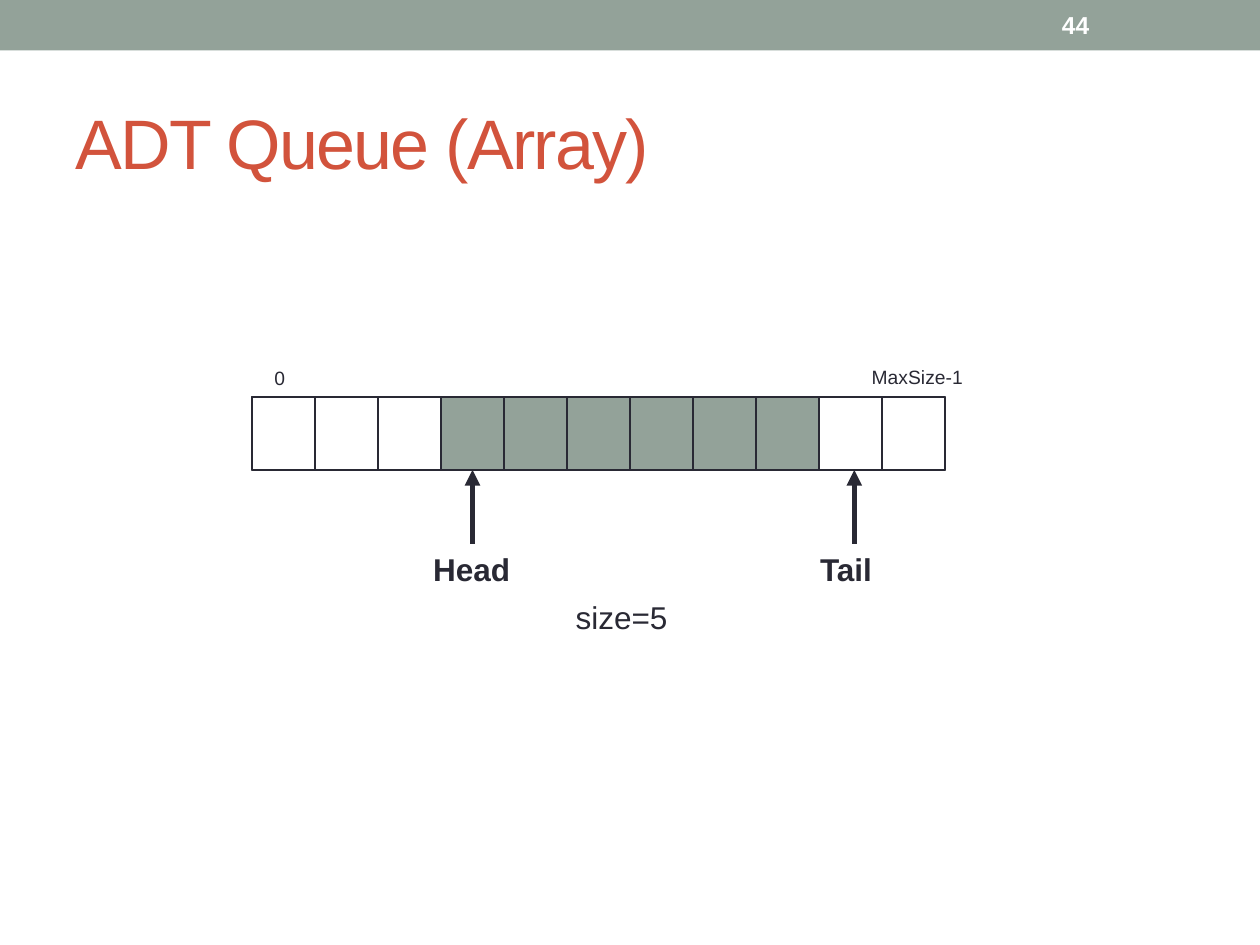
"""Build the slide that shows a queue stored in an array."""
from lxml import etree
from pptx import Presentation
from pptx.dml.color import RGBColor
from pptx.enum.shapes import MSO_CONNECTOR, MSO_SHAPE
from pptx.enum.text import MSO_ANCHOR, MSO_AUTO_SIZE, PP_ALIGN
from pptx.oxml.ns import qn
from pptx.util import Inches, Pt

RECT = MSO_SHAPE.RECTANGLE
STRAIGHT = MSO_CONNECTOR.STRAIGHT
MIDDLE = MSO_ANCHOR.MIDDLE
GROW, FIXED = MSO_AUTO_SIZE.SHAPE_TO_FIT_TEXT, MSO_AUTO_SIZE.NONE
LEFT = PP_ALIGN.LEFT
COLORS = {"sage": "93A299", "ink": "292934", "red": "D2533C", "white": "FFFFFF"}
CELL_W, CELL_H = 0.5, 0.58
ARRAY_X, ARRAY_Y = 2, 3.15
CELL_COUNT = 11
FILLED = range(3, 9)
HEAD = 3


def add_rect(x, y, w, h, fill=None, line=None):
    sp = s.shapes.add_shape(RECT, Inches(x), Inches(y), Inches(w), Inches(h))
    sp.shadow.inherit = False
    if fill:
        sp.fill.solid()
        sp.fill.fore_color.rgb = RGBColor.from_string(COLORS[fill])
    else:
        sp.fill.background()
    if line:
        sp.line.color.rgb = RGBColor.from_string(COLORS[line])
        sp.line.width = Pt(0.75)
    else:
        sp.line.fill.background()
    return sp


def write(sp, text, color, frame, font):
    tf = sp.text_frame
    for name, value in frame.items():
        setattr(tf, name, value)
    p = tf.paragraphs[0]
    p.alignment = LEFT
    r = p.add_run()
    r.text = text
    r.font.color.rgb = RGBColor.from_string(COLORS[color])
    for name, value in {"name": "Arial", **font}.items():
        setattr(r.font, name, value)
    return r


prs = Presentation()
prs.slide_width, prs.slide_height = Inches(10), Inches(7.5)
s = prs.slides.add_slide(prs.slide_layouts[5])

add_rect(0, 0, 10, 0.4, fill="sage")

title = s.shapes.title
title.left, title.top = Inches(0.5), Inches(0.58)
title.width, title.height = Inches(9), Inches(1.08)
centred = {"word_wrap": True, "auto_size": FIXED, "vertical_anchor": MIDDLE}
r = write(title, "ADT Queue (Array)", "red", centred, {"size": Pt(40)})
r.font._element.set("spc", "-100")

number = s.shapes.add_textbox(Inches(8.33), Inches(0.02), Inches(1.17), Inches(0.36))
write(number, "44", "white", centred, {"size": Pt(14), "bold": True})

add_rect(ARRAY_X, ARRAY_Y, CELL_W * CELL_COUNT, CELL_H, line="ink")
cells = []
for i in range(CELL_COUNT):
    fill = "sage" if i in FILLED else None
    cells.append(add_rect(ARRAY_X + i * CELL_W, ARRAY_Y, CELL_W, CELL_H, fill, "ink"))

labels = [
    ("0", 2.08, 2.86, 0.3, 0.29, 11, False),
    ("MaxSize-1", 6.82, 2.85, 1, 0.29, 11, False),
    ("Head", 3.34, 4.32, 0.83, 0.43, 18, True),
    ("Tail", 6.41, 4.32, 0.68, 0.43, 18, True),
    ("size=5", 4.47, 4.7, 0.94, 0.4, 18, False),
]
for text, x, y, w, h, size, bold in labels:
    box = s.shapes.add_textbox(Inches(x), Inches(y), Inches(w), Inches(h))
    write(box, text, "ink", {"word_wrap": False, "auto_size": GROW},
          {"size": Pt(size), "bold": bold})

arrows = []
for x in (3.75, 6.78):
    arrow = s.shapes.add_connector(STRAIGHT, Inches(x), Inches(ARRAY_Y + CELL_H),
                                   Inches(x), Inches(4.32))
    arrow.line.color.rgb = RGBColor.from_string(COLORS["ink"])
    arrow.line.width = Pt(3)
    etree.SubElement(arrow.line._get_or_add_ln(), qn("a:headEnd"), type="triangle")
    etree.SubElement(arrow._element.spPr, qn("a:effectLst"))
    arrows.append(arrow)
arrows[0].begin_connect(cells[HEAD], 2)

prs.save("out.pptx")
